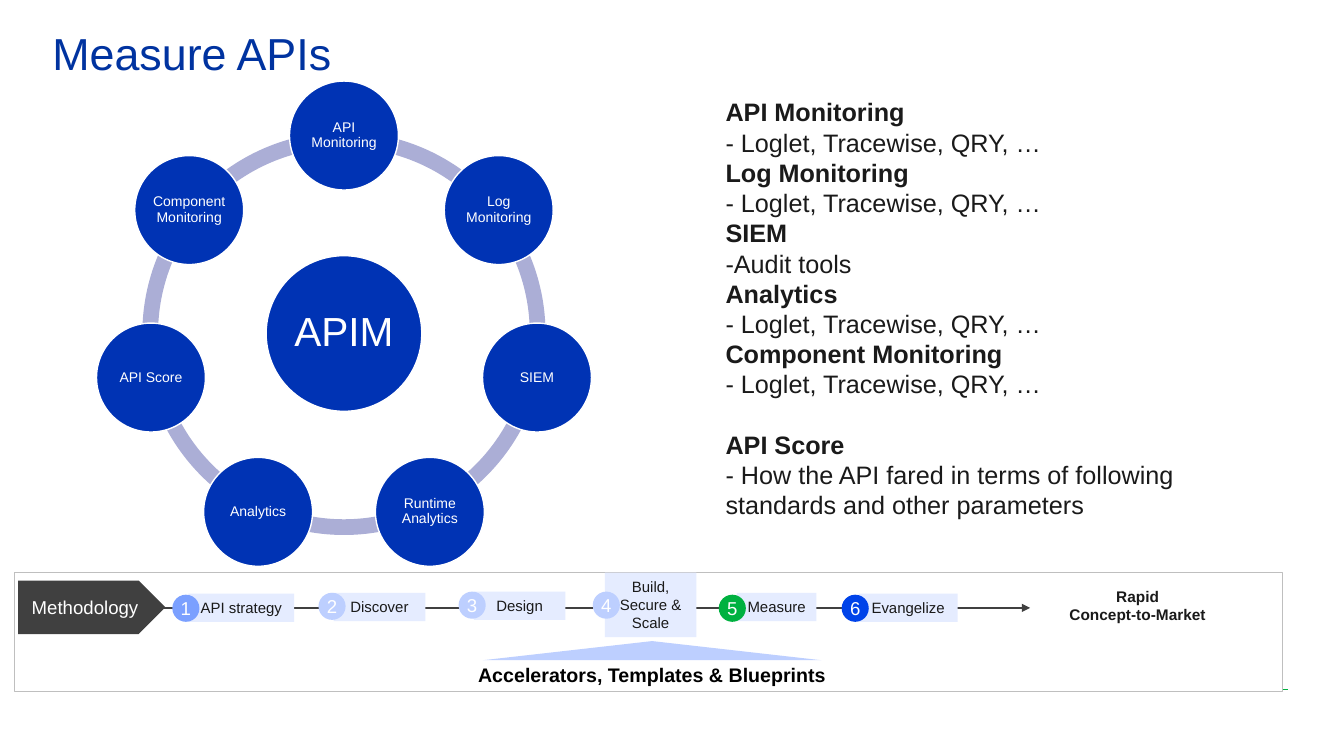
from math import cos, radians, sin

from lxml import etree
from pptx import Presentation
from pptx.dml.color import RGBColor
from pptx.enum.shapes import MSO_CONNECTOR as Connector, MSO_SHAPE as Shape
from pptx.enum.text import MSO_ANCHOR as Anchor, PP_ALIGN as Align
from pptx.oxml.ns import qn
from pptx.util import Pt

WHITE, INK, CHARCOAL = "FFFFFF", "1A1A1A", "404040"
TITLE_BLUE, NODE_BLUE, ARC_LILAC = "0033A0", "0033B4", "ABAED6"
CHIP_BLUE, PALE_BLUE, GREEN = "E5ECFF", "BDCFFF", "00B140"

NODES = ["API Monitoring", "Log Monitoring", "SIEM", "Runtime Analytics",
         "Analytics", "API Score", "Component Monitoring"]
RING_X, RING_Y, RING_RADIUS = 245.7, 238.2, 141.4
ARC_SIZE, NODE_SIZE, HUB_SIZE = 288, 77.8, 111.2

STEPS = [
    ("API strategy", "7BA0FF", (123.1, 424.8), (134.6, 424.1, 75.6, 20.2)),
    ("Discover", PALE_BLUE, (227.5, 423.4), (238.3, 423.4, 65.5, 20.2)),
    ("Design", PALE_BLUE, (327.6, 422.6), (338.4, 422.6, 65.5, 20.2)),
    ("Build, Secure & Scale", PALE_BLUE, (423.4, 422.6), (432, 409, 65.5, 46.1)),
    ("Measure", GREEN, (513.4, 424.8), (526.3, 423.4, 56.9, 20.2)),
    ("Evangelize", "0043E9", (601.2, 424.8), (613.4, 424.1, 70.6, 20.2)),
]
BADGE_SIZE = 19.4

TOOLS = "- Loglet, Tracewise, QRY, …"
TOPICS = [
    ("API Monitoring", TOOLS, 0),
    ("Log Monitoring", TOOLS, 0),
    ("SIEM", "-Audit tools", 0),
    ("Analytics", TOOLS, 0),
    ("Component Monitoring", TOOLS, 0),
    ("API Score", "- How the API fared in terms of following standards "
     "and other parameters", 21.6),
]


def color(value):
    return RGBColor.from_string(value)


class SlideBuilder:
    font_name = "Arial"

    def __init__(self, slide):
        self.slide = slide

    def label(self, shape, lines, size, ink=WHITE, bold=False, align=Align.CENTER,
              anchor=Anchor.MIDDLE, insets=(0, 0), spacing=None):
        frame = shape.text_frame
        frame.text = "\n".join(lines)
        frame.word_wrap = True
        frame.vertical_anchor = anchor
        frame.margin_left = frame.margin_right = Pt(insets[0])
        frame.margin_top = frame.margin_bottom = Pt(insets[1])
        for paragraph in frame.paragraphs:
            paragraph.alignment = align
            if spacing:
                paragraph.line_spacing = spacing
            for run in paragraph.runs:
                run.font.name = self.font_name
                run.font.size = Pt(size)
                run.font.bold = bold
                run.font.color.rgb = color(ink)
        return frame

    def shape(self, kind, left, top, width, height, fill, line=None, line_width=1):
        shape = self.slide.shapes.add_shape(kind, Pt(left), Pt(top), Pt(width), Pt(height))
        shape.shadow.inherit = False
        shape.fill.solid()
        shape.fill.fore_color.rgb = color(fill)
        if line:
            shape.line.color.rgb = color(line)
            shape.line.width = Pt(line_width)
        else:
            shape.line.fill.background()
        return shape

    def circle(self, center_x, center_y, size, fill, line=None):
        return self.shape(Shape.OVAL, center_x - size / 2, center_y - size / 2,
                          size, size, fill, line)

    def arc(self, center_x, center_y, size, start, end):
        arc = self.shape(Shape.BLOCK_ARC, center_x - size / 2, center_y - size / 2,
                         size, size, ARC_LILAC)
        arc.adjustments[0] = start % 360 * 0.6
        arc.adjustments[1] = end % 360 * 0.6
        arc.adjustments[2] = 0.039

    def text(self, left, top, width, height, lines, size, ink, **style):
        box = self.slide.shapes.add_textbox(Pt(left), Pt(top), Pt(width), Pt(height))
        return self.label(box, lines, size, ink, **style)

    def line(self, left, right, level, ink, width, arrow=False):
        connector = self.slide.shapes.add_connector(
            Connector.STRAIGHT, Pt(left), Pt(level), Pt(right), Pt(level))
        connector.line.color.rgb = color(ink)
        connector.line.width = Pt(width)
        properties = connector._element.spPr
        etree.SubElement(properties, qn("a:effectLst"))
        if arrow:
            outline = properties.find(qn("a:ln"))
            etree.SubElement(outline, qn("a:tailEnd"), type="triangle")


def draw_methodology(builder):
    builder.shape(Shape.RECTANGLE, 10.1, 409, 905.8, 85, WHITE, "BFBFBF", 0.5)
    builder.line(105.1, 735.8, 434.2, CHARCOAL, 1, arrow=True)
    methodology = builder.shape(Shape.PENTAGON, 13, 414.7, 105.1, 38.2, CHARCOAL)
    builder.label(methodology, ["Methodology"], 13.3)
    builder.text(753.8, 408.2, 117.6, 48.2, ["Rapid", "Concept-to-Market"], 11, INK, bold=True)
    builder.shape(Shape.ISOSCELES_TRIANGLE, 344.9, 457.9, 241.9, 13.7, PALE_BLUE)
    builder.text(79.2, 469.4, 773.3, 24.5, ["Accelerators, Templates & Blueprints"],
                 14, "000000", bold=True)
    for number, (name, fill, badge_place, chip_place) in enumerate(STEPS, 1):
        chip = builder.shape(Shape.RECTANGLE, *chip_place, CHIP_BLUE)
        builder.label(chip, [name], 10.7, INK, insets=(7.2, 3.6))
        badge = builder.shape(Shape.OVAL, *badge_place, BADGE_SIZE, BADGE_SIZE, fill)
        builder.label(badge, [str(number)], 13.3)


def draw_ring(builder):
    step = 360 / len(NODES)
    angles = [270 + index * step for index in range(len(NODES))]
    for angle in angles:
        builder.arc(RING_X, RING_Y, ARC_SIZE, angle, angle + step)
    hub = builder.circle(RING_X, RING_Y, HUB_SIZE, NODE_BLUE, WHITE)
    builder.label(hub, ["APIM"], 29, spacing=0.9)
    for name, angle in zip(NODES, angles):
        node = builder.circle(RING_X + RING_RADIUS * cos(radians(angle)),
                              RING_Y + RING_RADIUS * sin(radians(angle)),
                              NODE_SIZE, NODE_BLUE, WHITE)
        builder.label(node, [name], 10, spacing=0.9)


def draw_topics(builder):
    lines = [line for heading, detail, gap in TOPICS for line in (heading, detail)]
    frame = builder.text(511.2, 65.5, 376.6, 334.1, lines, 18, INK, align=Align.LEFT,
                         anchor=Anchor.TOP, insets=(7.2, 3.6))
    for paragraph, (heading, detail, gap) in zip(frame.paragraphs[::2], TOPICS):
        paragraph.space_before = Pt(gap)
        paragraph.runs[0].font.bold = True


def main():
    presentation = Presentation()
    presentation.slide_width = Pt(960)
    presentation.slide_height = Pt(540)
    builder = SlideBuilder(presentation.slides.add_slide(presentation.slide_layouts[6]))
    builder.line(39.6, 920.2, 492.5, GREEN, 0.5)
    builder.text(37.4, 23, 880.6, 83.5, ["Measure APIs"], 32, TITLE_BLUE,
                 align=Align.LEFT, anchor=Anchor.TOP, spacing=0.9)
    draw_methodology(builder)
    draw_ring(builder)
    draw_topics(builder)
    presentation.save("out.pptx")


if __name__ == "__main__":
    main()
